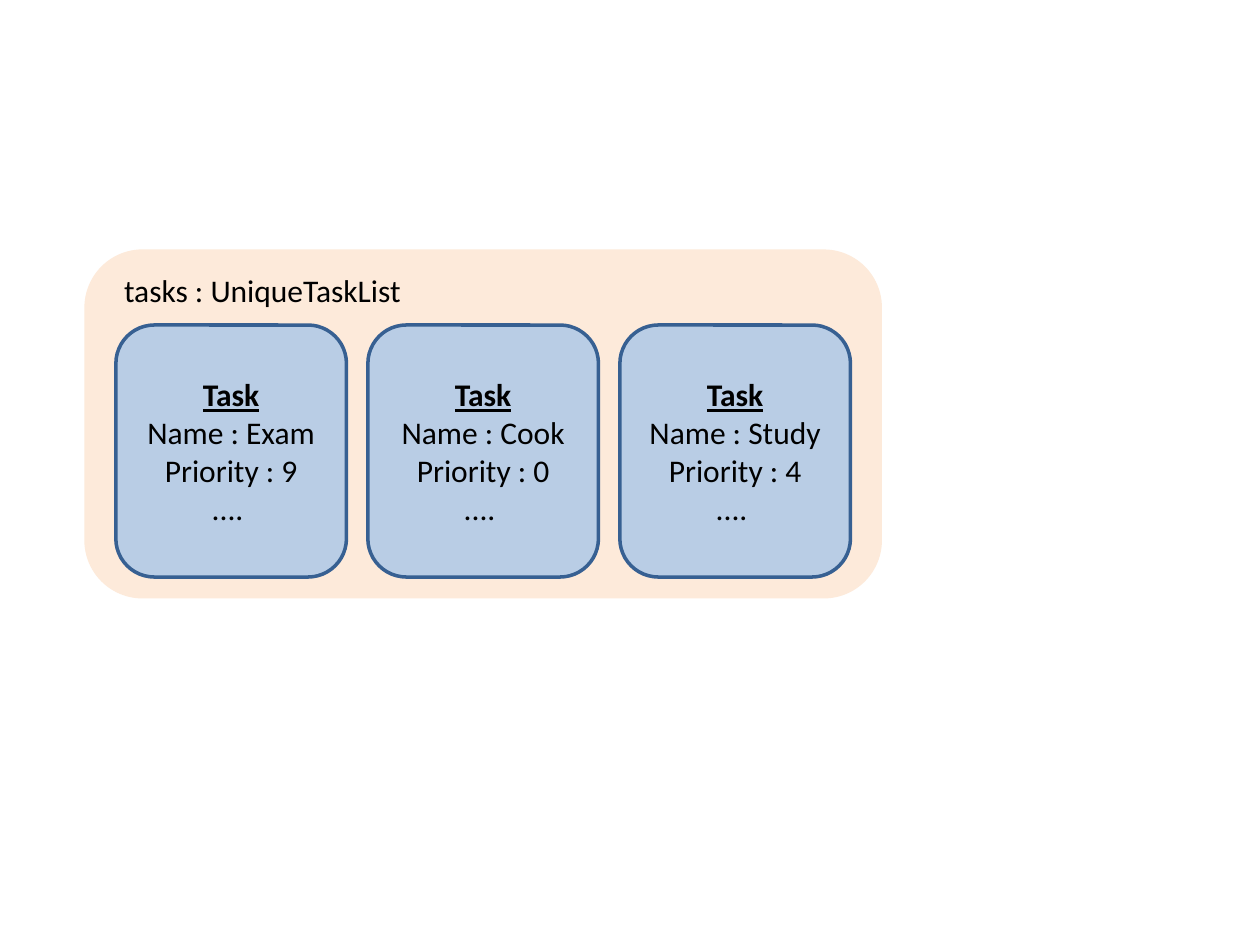
from pptx import Presentation
from pptx.dml.color import RGBColor
from pptx.enum.shapes import MSO_SHAPE as Shape
from pptx.enum.text import MSO_ANCHOR as Anchor, MSO_AUTO_SIZE as Fit, PP_ALIGN as Align
from pptx.util import Inches, Pt

COLORS = {"panel": "FDEADA", "card": "B9CDE5", "edge": "376092", "text": "000000"}
TASKS = [("Exam", 9), ("Cook", 0), ("Study", 4)]

# Card grid, in inches
LEFT, TOP, STEP = 0.92, 2.58, 2
WIDE, HIGH = 1.83, 2


def color(name):
    return RGBColor.from_string(COLORS[name])


def style(par, bold=False):
    font = par.font
    font.name, font.size = "Calibri", Pt(18)
    font.bold = font.underline = bold
    font.color.rgb = color("text")


def add_box(slide, box, fill, edge=None):
    shape = slide.shapes.add_shape(Shape.ROUNDED_RECTANGLE, *map(Inches, box))
    shape.shadow.inherit = False
    shape.fill.solid()
    shape.fill.fore_color.rgb = color(fill)
    if edge:
        shape.line.color.rgb = color(edge)
        shape.line.width = Pt(2)
    else:
        shape.line.fill.background()
    return shape


def add_label(slide, box, text):
    frame = slide.shapes.add_textbox(*map(Inches, box)).text_frame
    frame.word_wrap = True
    frame.auto_size = Fit.SHAPE_TO_FIT_TEXT
    frame.text = text
    style(frame.paragraphs[0])


def add_card(slide, col, name, rank):
    box = (LEFT + col * STEP, TOP, WIDE, HIGH)
    frame = add_box(slide, box, "card", "edge").text_frame
    frame.vertical_anchor = Anchor.MIDDLE
    frame.text = f"Task\nName : {name}\nPriority : {rank}\n.... "
    for row, par in enumerate(frame.paragraphs):
        par.alignment = Align.CENTER
        style(par, bold=row == 0)


def main():
    deck = Presentation()
    deck.slide_width, deck.slide_height = Inches(10), Inches(7.5)
    slide = deck.slides.add_slide(deck.slide_layouts[6])

    # List panel and its name
    add_box(slide, (0.67, 1.98, 6.33, 2.77), "panel")
    add_label(slide, (0.83, 2.1, 2.5, 0.4), " tasks : UniqueTaskList")

    # One card per task
    for col, (name, rank) in enumerate(TASKS):
        add_card(slide, col, name, rank)

    deck.save("out.pptx")


if __name__ == "__main__":
    main()
